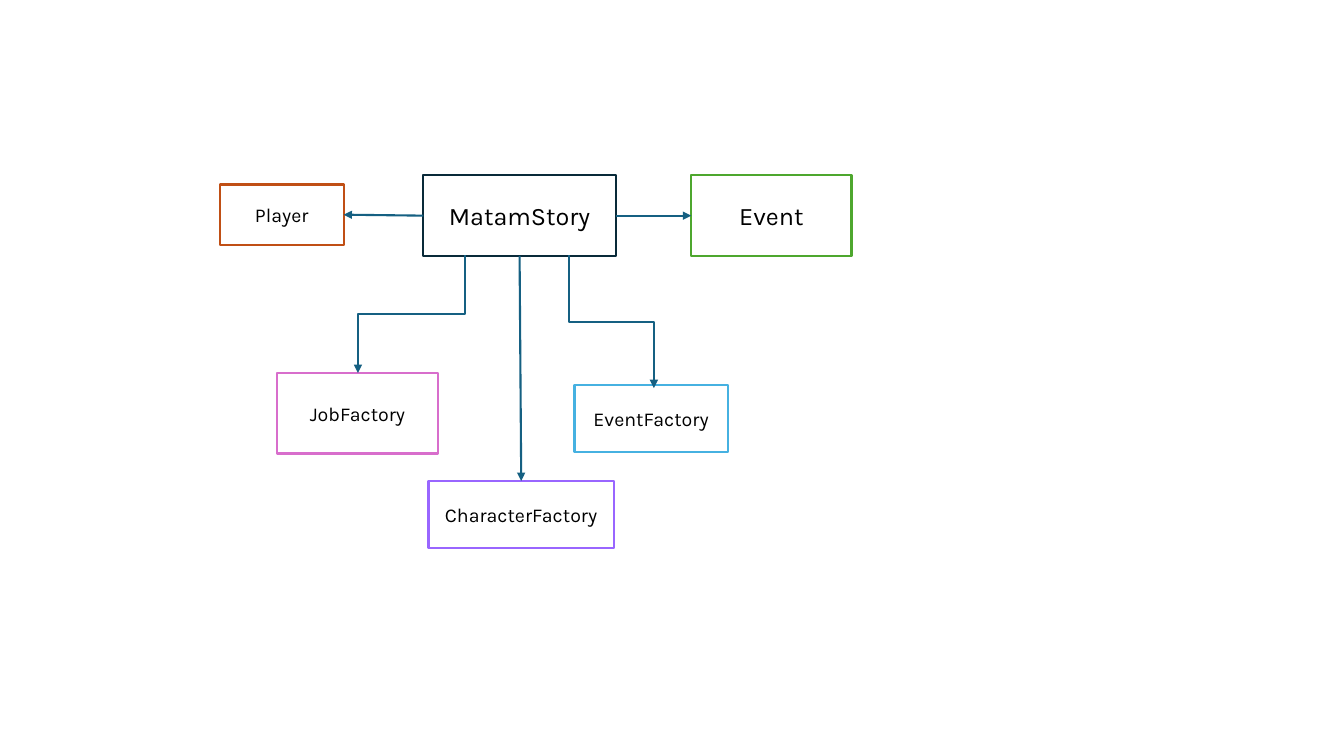
from dataclasses import dataclass

from lxml import etree
from pptx import Presentation
from pptx import util as u
from pptx.dml.color import RGBColor
from pptx.enum import shapes, text
from pptx.oxml.ns import qn

TOP, LEFT, BOTTOM, RIGHT = range(4)


@dataclass(frozen=True)
class Theme:
    font: str = "Karla"
    large: int = 18
    small: int = 14
    line_width: float = 1.5
    ink: str = "000000"
    arrow: str = "156082"
    story: str = "092A39"
    player: str = "C04F15"
    event: str = "4EA72E"
    job_factory: str = "D86ECC"
    event_factory: str = "46B1E1"
    character_factory: str = "9966FF"


class Diagram:
    """Draws class boxes and arrows; all lengths are centimetres."""

    def __init__(self, slide, theme):
        self.slide = slide
        self.theme = theme

    def box(self, name, left, top, width, height, color, size):
        shape = self.slide.shapes.add_shape(
            shapes.MSO_SHAPE.RECTANGLE,
            u.Cm(left), u.Cm(top), u.Cm(width), u.Cm(height))
        shape.shadow.inherit = False
        shape.fill.background()
        self.style_line(shape.line, color)
        frame = shape.text_frame
        frame.word_wrap = True
        frame.vertical_anchor = text.MSO_ANCHOR.MIDDLE
        paragraph = frame.paragraphs[0]
        paragraph.text = name
        paragraph.alignment = text.PP_ALIGN.CENTER
        paragraph.font.name = self.theme.font
        paragraph.font.size = u.Pt(size)
        paragraph.font.color.rgb = RGBColor.from_string(self.theme.ink)
        return shape

    def style_line(self, line, color):
        line.color.rgb = RGBColor.from_string(color)
        line.width = u.Pt(self.theme.line_width)

    def connector(self, kind, *ends):
        connector = self.slide.shapes.add_connector(kind, *ends)
        self.style_line(connector.line, self.theme.arrow)
        properties = connector._element.spPr
        outline = properties.find(qn("a:ln"))
        etree.SubElement(outline, qn("a:tailEnd"), type="triangle")
        etree.SubElement(properties, qn("a:effectLst"))
        return connector

    def straight_arrow(self, source, source_side, target, target_side):
        connector = self.connector(shapes.MSO_CONNECTOR.STRAIGHT, 0, 0, 0, 0)
        connector.begin_connect(source, source_side)
        connector.end_connect(target, target_side)

    def bent_arrow(self, x1, y1, x2, y2):
        """Runs down, across and down: an elbow turned by a quarter."""
        middle_x, middle_y = (x1 + x2) / 2, (y1 + y2) / 2
        half_drop, half_shift = (y2 - y1) / 2, abs(x2 - x1) / 2
        direction = 1 if x2 < x1 else -1
        connector = self.connector(
            shapes.MSO_CONNECTOR.ELBOW,
            u.Cm(middle_x - direction * half_drop), u.Cm(middle_y - half_shift),
            u.Cm(middle_x + direction * half_drop), u.Cm(middle_y + half_shift))
        degrees = 90 if direction == 1 else 270
        frame = connector._element.spPr.find(qn("a:xfrm"))
        frame.set("rot", str(degrees * 60000))


def main():
    presentation = Presentation()
    presentation.slide_width = u.Cm(33.87)
    presentation.slide_height = u.Cm(19.05)
    slide = presentation.slides.add_slide(presentation.slide_layouts[6])
    theme = Theme()
    diagram = Diagram(slide, theme)

    # Main class and the classes beside it
    story = diagram.box("MatamStory", 10.67, 4.42, 4.85, 2.03, theme.story, theme.large)
    player = diagram.box("Player", 5.54, 4.65, 3.12, 1.52, theme.player, theme.small)
    event = diagram.box("Event", 17.42, 4.42, 4.04, 2.03, theme.event, theme.large)

    # Factories
    diagram.box("JobFactory", 6.99, 9.4, 4.04, 2.03, theme.job_factory, theme.small)
    diagram.box("EventFactory", 14.48, 9.7, 3.86, 1.7, theme.event_factory, theme.small)
    character_factory = diagram.box(
        "CharacterFactory", 10.8, 12.12, 4.67, 1.7, theme.character_factory, theme.small)

    # Arrows from the main class
    diagram.straight_arrow(story, LEFT, player, RIGHT)
    diagram.straight_arrow(story, RIGHT, event, LEFT)
    diagram.straight_arrow(story, BOTTOM, character_factory, TOP)
    diagram.bent_arrow(11.71, 6.43, 9.02, 9.4)
    diagram.bent_arrow(14.33, 6.43, 16.48, 9.78)

    presentation.save("out.pptx")


if __name__ == "__main__":
    main()
